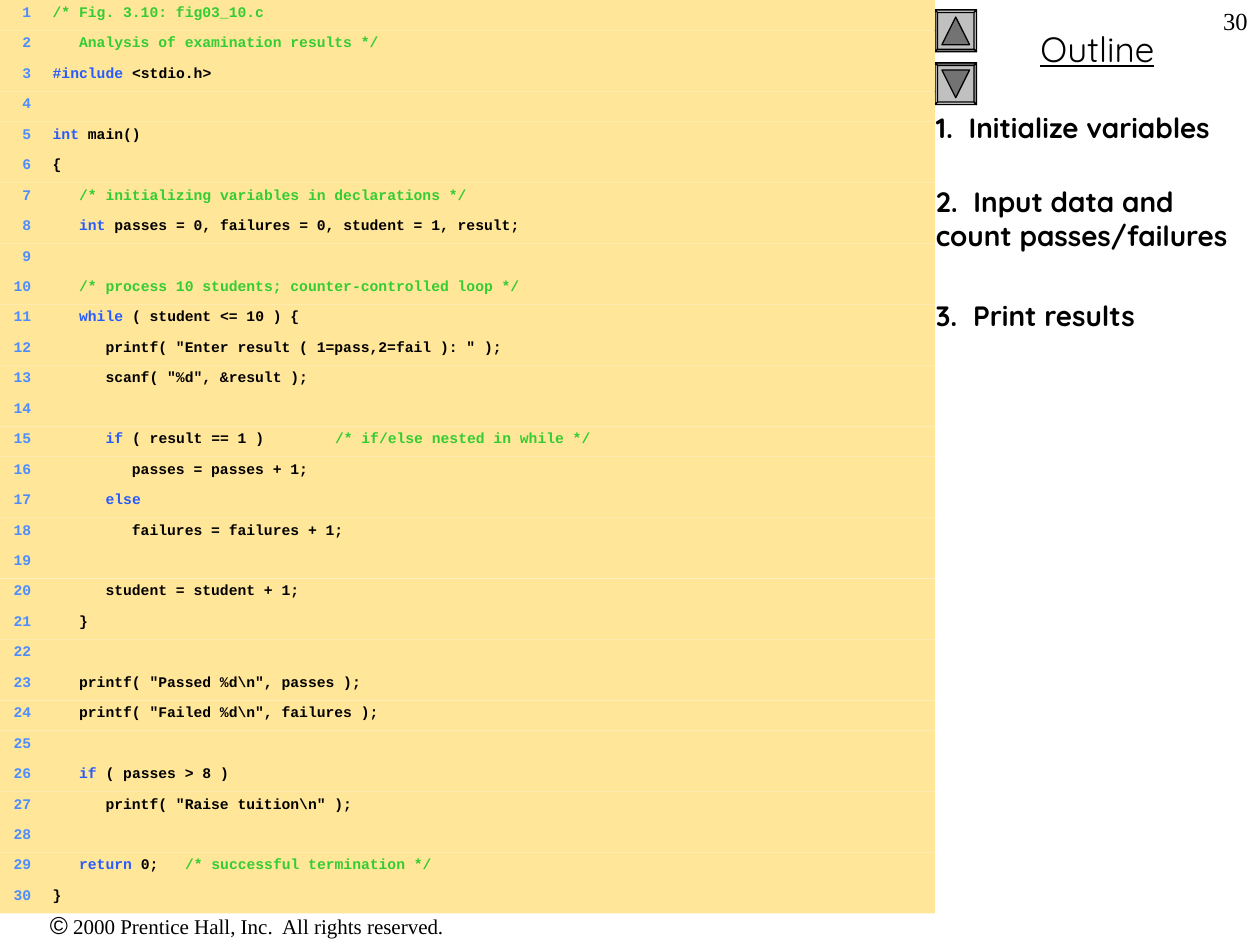
from lxml.etree import SubElement
from pptx import Presentation
from pptx.dml.color import RGBColor
from pptx.enum.shapes import MSO_SHAPE as Preset
from pptx.enum.text import MSO_ANCHOR as Anchor, PP_ALIGN as Align
from pptx.oxml.ns import qn
from pptx.util import Inches, Pt

COLORS = {
    "black": "000000", "panel": "FFE699", "number": "4D8DFF",
    "comment": "33CC33", "keyword": "275AFF",
    "button": "C0C0C0", "arrow": "737373",
}
# Bevel shades of a button: top, right, bottom, left before it is turned
BEVEL = ["CDCDCD", "737373", "9A9A9A", "D9D9D9"]

WIDTH, HEIGHT = 10, 7.5
CODE_WIDTH, CODE_HEIGHT = 7.42, 7.25
BUTTON, RIM = 0.33, 0.02
KEYWORDS = ("#include", "int", "while", "if", "else", "return")

CODE = r"""/* Fig. 3.10: fig03_10.c
   Analysis of examination results */
#include <stdio.h>

int main()
{
   /* initializing variables in declarations */
   int passes = 0, failures = 0, student = 1, result;

   /* process 10 students; counter-controlled loop */
   while ( student <= 10 ) {
      printf( "Enter result ( 1=pass,2=fail ): " );
      scanf( "%d", &result );

      if ( result == 1 )        /* if/else nested in while */
         passes = passes + 1;
      else
         failures = failures + 1;

      student = student + 1;
   }

   printf( "Passed %d\n", passes );
   printf( "Failed %d\n", failures );

   if ( passes > 8 )
      printf( "Raise tuition\n" );

   return 0;   /* successful termination */
}""".splitlines()

# Outline steps with the space before each, in points
STEPS = [
    ("1.  Initialize variables", 0),
    ("2.  Input data and count passes/failures", 23),
    ("3.  Print results", 27),
]


def rgb(value):
    return RGBColor.from_string(COLORS.get(value, value))


def add_text(paragraph, text, size=12, font="Times New Roman", color="black",
             bold=False, underline=False):
    run = paragraph.add_run()
    run.text = text
    run.font.size = Pt(size)
    run.font.name = font
    run.font.bold = bold
    run.font.underline = underline
    run.font.color.rgb = rgb(color)


def add_box(slide, left, top, width, height, align=Align.LEFT):
    """Add a wrapping text box and return its text frame."""
    frame = slide.shapes.add_textbox(
        Inches(left), Inches(top), Inches(width), Inches(height)).text_frame
    frame.word_wrap = True
    frame.paragraphs[0].alignment = align
    return frame


def add_tabs(paragraph, stops):
    tab_list = SubElement(paragraph._p.get_or_add_pPr(), qn("a:tabLst"))
    for position, side in stops:
        SubElement(tab_list, qn("a:tab"), pos=str(Inches(position)), algn=side)


def split_code(line):
    """Return the (text, color) parts of one line of code."""
    if line.endswith("*/") and "/*" not in line:
        return [(line, "comment")]
    code, mark, comment = line.partition("/*")
    body = code.lstrip()
    indent = code[:len(code) - len(body)]
    word = body.split(" ")[0]
    if word in KEYWORDS:
        parts = [(indent, "black"), (word, "keyword"),
                 (body[len(word):], "black")]
    else:
        parts = [(code, "black")]
    return parts + [(mark + comment, "comment")]


def add_code_row(slide, row, line):
    row_height = CODE_HEIGHT / len(CODE)
    shape = slide.shapes.add_shape(
        Preset.RECTANGLE, 0, Inches(row * row_height),
        Inches(CODE_WIDTH), Inches(row_height))
    shape.shadow.inherit = False
    shape.fill.solid()
    shape.fill.fore_color.rgb = rgb("panel")
    shape.line.fill.background()
    shape.text_frame.vertical_anchor = Anchor.TOP
    paragraph = shape.text_frame.paragraphs[0]
    add_tabs(paragraph, [(0.15, "r"), (0.32, "l")])
    paragraph.alignment = Align.LEFT
    paragraph.line_spacing = 0.8
    for text, color in [(f"\t{row + 1}\t", "number")] + split_code(line):
        if text:
            add_text(paragraph, text, size=8.4, font="Courier New",
                     color=color, bold=True)


def add_polygon(slide, points, color):
    corners = [(Inches(x), Inches(y)) for x, y in points]
    builder = slide.shapes.build_freeform(*corners[0])
    builder.add_line_segments(corners[1:], close=True)
    shape = builder.convert_to_shape()
    shape.shadow.inherit = False
    shape.fill.solid()
    shape.fill.fore_color.rgb = rgb(color)
    shape.line.color.rgb = rgb("black")
    shape.line.width = Pt(0.75)


def square(left, top, size):
    """Return the corners, clockwise from the top left."""
    right, bottom = left + size, top + size
    return [(left, top), (right, top), (right, bottom), (left, bottom)]


def add_button(slide, left, top, quarter_turns, points_up):
    outer = square(left, top, BUTTON)
    inner = square(left + RIM, top + RIM, BUTTON - 2 * RIM)
    add_polygon(slide, outer, "button")
    # Bevelled sides
    for side in range(4):
        after = (side + 1) % 4
        add_polygon(slide, [outer[side], outer[after], inner[after], inner[side]],
                    BEVEL[(side - quarter_turns) % 4])
    # Arrow
    center, middle, reach = left + BUTTON / 2, top + BUTTON / 2, 0.11
    tip = -reach if points_up else reach
    add_polygon(slide, [(center, middle + tip), (center + reach, middle - tip),
                        (center - reach, middle - tip)], "arrow")


def main():
    presentation = Presentation()
    presentation.slide_width = Inches(WIDTH)
    presentation.slide_height = Inches(HEIGHT)
    slide = presentation.slides.add_slide(presentation.slide_layouts[6])

    # Copyright line
    footer = add_box(slide, 0, 7.17, 3.92, 0.34, Align.CENTER).paragraphs[0]
    add_text(footer, "©", size=14, font="Arial")
    add_text(footer, " 2000 Prentice Hall, Inc.  All rights reserved.")

    # Heading, buttons and page number
    side_width = WIDTH - CODE_WIDTH
    heading = add_box(slide, CODE_WIDTH, 0.17, side_width, 0.44, Align.CENTER)
    add_text(heading.paragraphs[0], "Outline", size=20, font="Quicksand",
             underline=True)
    add_button(slide, CODE_WIDTH, 0.08, quarter_turns=1, points_up=True)
    add_button(slide, CODE_WIDTH, 0.5, quarter_turns=3, points_up=False)
    page = add_box(slide, 7.92, 0, 2.08, 0.5, Align.RIGHT)
    add_text(page.paragraphs[0], "30", size=14)

    # Outline steps
    steps = add_box(slide, 7.33, 0.83, 2.67, 6.67)
    for index, (text, gap) in enumerate(STEPS):
        paragraph = steps.add_paragraph() if index else steps.paragraphs[0]
        if gap:
            paragraph.space_before = Pt(gap)
        add_text(paragraph, text, size=16, font="Quicksand", bold=True)

    # Code listing
    for row, line in enumerate(CODE):
        add_code_row(slide, row, line)

    presentation.save("out.pptx")


if __name__ == "__main__":
    main()
